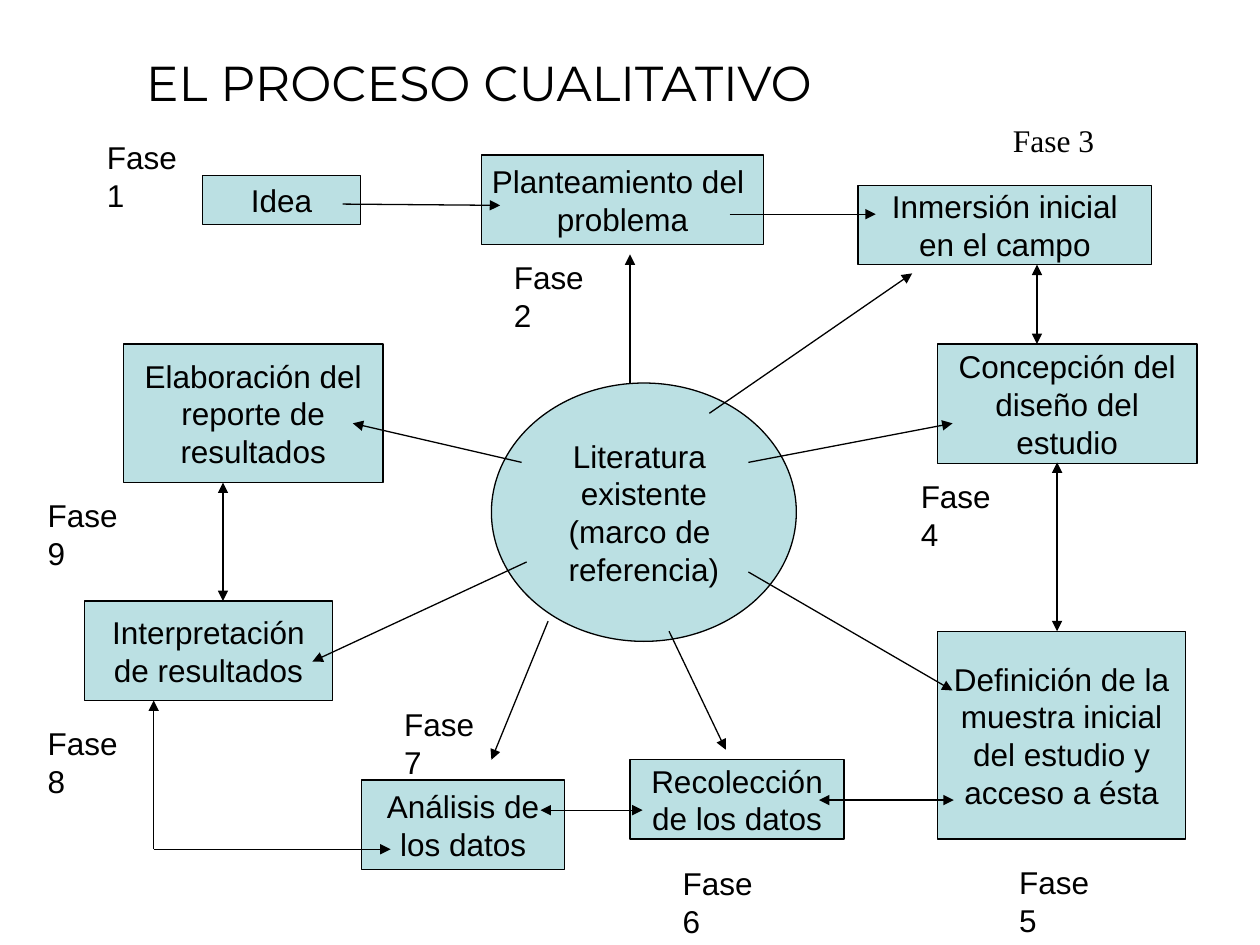
from lxml.etree import SubElement
from pptx import Presentation
from pptx.dml.color import RGBColor
from pptx.enum.shapes import MSO_CONNECTOR, MSO_SHAPE
from pptx.enum.text import MSO_ANCHOR, MSO_AUTO_SIZE, PP_ALIGN
from pptx.oxml.ns import qn
from pptx.util import Pt

PX = 9144
INK = "000000"
PALE = "BBE0E3"
BODY_FONT = "Arial"

LABEL_FRAME = {"word_wrap": False, "auto_size": MSO_AUTO_SIZE.SHAPE_TO_FIT_TEXT}
SHAPE_FRAME = {"word_wrap": False, "vertical_anchor": MSO_ANCHOR.MIDDLE}
TITLE_FRAME = {"word_wrap": True, "vertical_anchor": MSO_ANCHOR.MIDDLE}

PHASES = [
    ((161, 139, 125, 39), ["Idea"], (-86, -34)),
    ((382, 123, 224, 71), ["Planteamiento del ", "problema"], (16, 77)),
    ((681, 147, 233, 63), ["Inmersión inicial", "en el campo"], (113, -56)),
    ((744, 273, 206, 95), ["Concepción del", "diseño del", "estudio"], (-23, 101)),
    ((744, 501, 197, 165),
     ["Definición de la", "muestra inicial", "del estudio y", "acceso a ésta"], (55, 179)),
    ((500, 603, 170, 63), ["Recolección", "de los datos"], (32, 78)),
    ((287, 619, 161, 71), ["Análisis de", "los datos"], (24, -64)),
    ((67, 477, 197, 79), ["Interpretación", "de resultados"], (-39, 93)),
    ((98, 273, 206, 110), ["Elaboración del", "reporte de", "resultados"], (-70, 116)),
]
LABEL_FONTS = {3: "Times New Roman"}

LITERATURE = ["Literatura ", "existente", "(marco de ", "referencia)"]
RAYS = [
    ((110, 0), (110, -102)),
    ((173, 24), (334, -87)),
    ((204, 63), (366, 32)),
    ((204, 150), (366, 244)),
    ((141, 197), (186, 291)),
    ((45, 189), (0, 299)),
    ((28, 142), (-142, 221)),
    ((24, 63), (-110, 32)),
]
ONE_WAY = [
    ((272, 162), (397, 163)),
    ((579, 170), (695, 170)),
    ((122, 674), (310, 674)),
    ((122, 674), (122, 556)),
]
TWO_WAY = [
    ((177, 383), (177, 477)),
    ((429, 643), (510, 643)),
    ((650, 635), (757, 635)),
    ((839, 501), (839, 367)),
    ((823, 273), (823, 210)),
]


def emu(*lengths):
    return [length * PX for length in lengths]


def color(hex_text):
    return RGBColor.from_string(hex_text)


def apply(target, values):
    for name, value in values.items():
        setattr(target, name, value)


def write(shape, lines, frame_format, font=BODY_FONT, size=18, align=PP_ALIGN.LEFT):
    frame = shape.text_frame
    apply(frame, frame_format)
    for index, line in enumerate(lines):
        para = frame.paragraphs[0] if index == 0 else frame.add_paragraph()
        para.alignment = align
        span = para.add_run()
        span.text = line
        apply(span.font, {"name": font, "size": Pt(size)})
        span.font.color.rgb = color(INK)


def draw_text(page, box, text, frame_format, **style):
    write(page.shapes.add_textbox(*emu(*box)), [text], frame_format, **style)


def draw_shape(page, kind, box, lines):
    shape = page.shapes.add_shape(kind, *emu(*box))
    shape.shadow.inherit = False
    shape.fill.solid()
    shape.fill.fore_color.rgb = color(PALE)
    shape.line.color.rgb = color(INK)
    shape.line.width = Pt(0.75)
    write(shape, lines, SHAPE_FRAME, align=PP_ALIGN.CENTER)


def draw_arrows(page, box, routes, ends=("tailEnd",)):
    left, top = box[:2]
    for (x1, y1), (x2, y2) in routes:
        arrow = page.shapes.add_connector(
            MSO_CONNECTOR.STRAIGHT, *emu(left + x1, top + y1, left + x2, top + y2))
        arrow.line.color.rgb = color(INK)
        arrow.line.width = Pt(0.75)
        properties = arrow.line._get_or_add_ln()
        for end in ends:
            SubElement(properties, qn(f"a:{end}"), type="triangle")
        SubElement(properties.getparent(), qn("a:effectLst"))


def draw_phase(page, box, number, lines, label_offset):
    left, top = box[:2]
    right_shift, down_shift = label_offset
    draw_shape(page, MSO_SHAPE.RECTANGLE, box, lines)
    label_box = (left + right_shift, top + down_shift, 96, 40)
    draw_text(page, label_box, f"Fase {number}", LABEL_FRAME,
              font=LABEL_FONTS.get(number, BODY_FONT))


def draw_literature(page, box):
    draw_shape(page, MSO_SHAPE.OVAL, box, LITERATURE)
    draw_arrows(page, box, RAYS)


def draw_links(page, box):
    draw_arrows(page, box, ONE_WAY)
    draw_arrows(page, box, TWO_WAY, ("headEnd", "tailEnd"))


def main():
    deck = Presentation()
    apply(deck, {"slide_width": 1000 * PX, "slide_height": 750 * PX})
    page = deck.slides.add_slide(deck.slide_layouts[6])
    draw_text(page, (106, 30, 781, 70), "EL PROCESO CUALITATIVO", TITLE_FRAME,
              font="Montserrat", size=28)
    for number, (box, lines, label_offset) in enumerate(PHASES, 1):
        draw_phase(page, box, number, lines, label_offset)
    draw_literature(page, (390, 304, 242, 205))
    draw_links(page, (0, 0, 1000, 750))
    deck.save("out.pptx")


if __name__ == "__main__":
    main()
